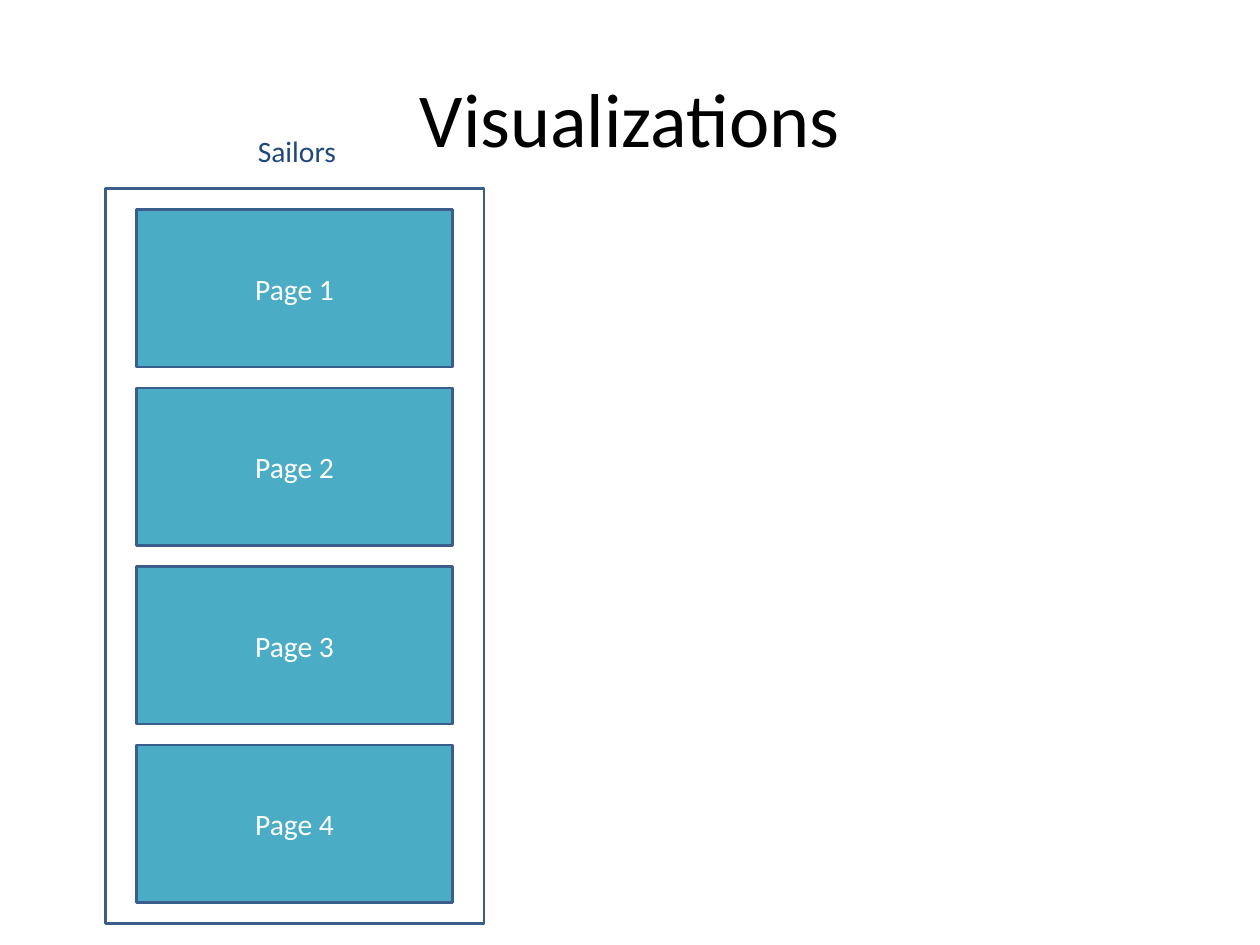
import pptx
import pptx.dml.color
import pptx.enum.shapes
import pptx.enum.text
import pptx.util
from pptx.util import Cm

COLORS = {
    "title": "000000",
    "label": "1F497D",
    "outline": "3A5E8A",
    "page": "4BACC6",
    "page_text": "FFFFFF",
}
FONT = "Calibri"
INSET = Cm(0.18)
PAGE_COUNT = 4


def color(name):
    return pptx.dml.color.RGBColor.from_string(COLORS[name])


def set_text(shape, text, size, color_name, alignment, wrap=True):
    frame = shape.text_frame
    frame.word_wrap = wrap
    frame.margin_left = frame.margin_right = INSET
    frame.margin_top = frame.margin_bottom = INSET
    frame.vertical_anchor = pptx.enum.text.MSO_ANCHOR.MIDDLE
    paragraph = frame.paragraphs[0]
    paragraph.text = text
    paragraph.alignment = alignment
    paragraph.font.name = FONT
    paragraph.font.size = pptx.util.Pt(size)
    paragraph.font.color.rgb = color(color_name)


def add_box(slide, left, top, width, height, fill=None):
    shape = slide.shapes.add_shape(
        pptx.enum.shapes.MSO_SHAPE.RECTANGLE, left, top, width, height
    )
    shape.shadow.inherit = False
    shape.line.color.rgb = color("outline")
    shape.line.width = pptx.util.Pt(2)
    if fill:
        shape.fill.solid()
        shape.fill.fore_color.rgb = color(fill)
    else:
        shape.fill.background()
    return shape


def add_title(slide, left, top, width, height):
    title = slide.shapes.title
    title.left, title.top, title.width, title.height = left, top, width, height
    set_text(title, "Visualizations", 62, "title", pptx.enum.text.PP_ALIGN.CENTER)


def add_sailors_table(slide, left, top, width, height):
    add_box(slide, left, top, width, height)
    label = slide.shapes.add_textbox(left + Cm(4.19), top - Cm(1.8), Cm(2.64), Cm(1.4))
    set_text(label, "Sailors", 24, "label", pptx.enum.text.PP_ALIGN.LEFT, wrap=False)

    side, gap = Cm(0.9), Cm(0.6)
    page_height = (height - gap * (PAGE_COUNT + 1)) // PAGE_COUNT
    for index in range(PAGE_COUNT):
        page_top = top + gap + index * (page_height + gap)
        page = add_box(
            slide, left + side, page_top, width - 2 * side, page_height, "page"
        )
        set_text(
            page, f"Page {index + 1}", 24, "page_text", pptx.enum.text.PP_ALIGN.CENTER
        )


def main():
    presentation = pptx.Presentation()
    presentation.slide_width = Cm(36.12)
    presentation.slide_height = Cm(27.1)
    slide = presentation.slides.add_slide(presentation.slide_layouts[5])
    add_title(slide, Cm(1.8), Cm(1.09), Cm(32.51), Cm(4.52))
    add_sailors_table(slide, Cm(3.02), Cm(5.41), Cm(10.85), Cm(21.08))
    presentation.save("out.pptx")


if __name__ == "__main__":
    main()
